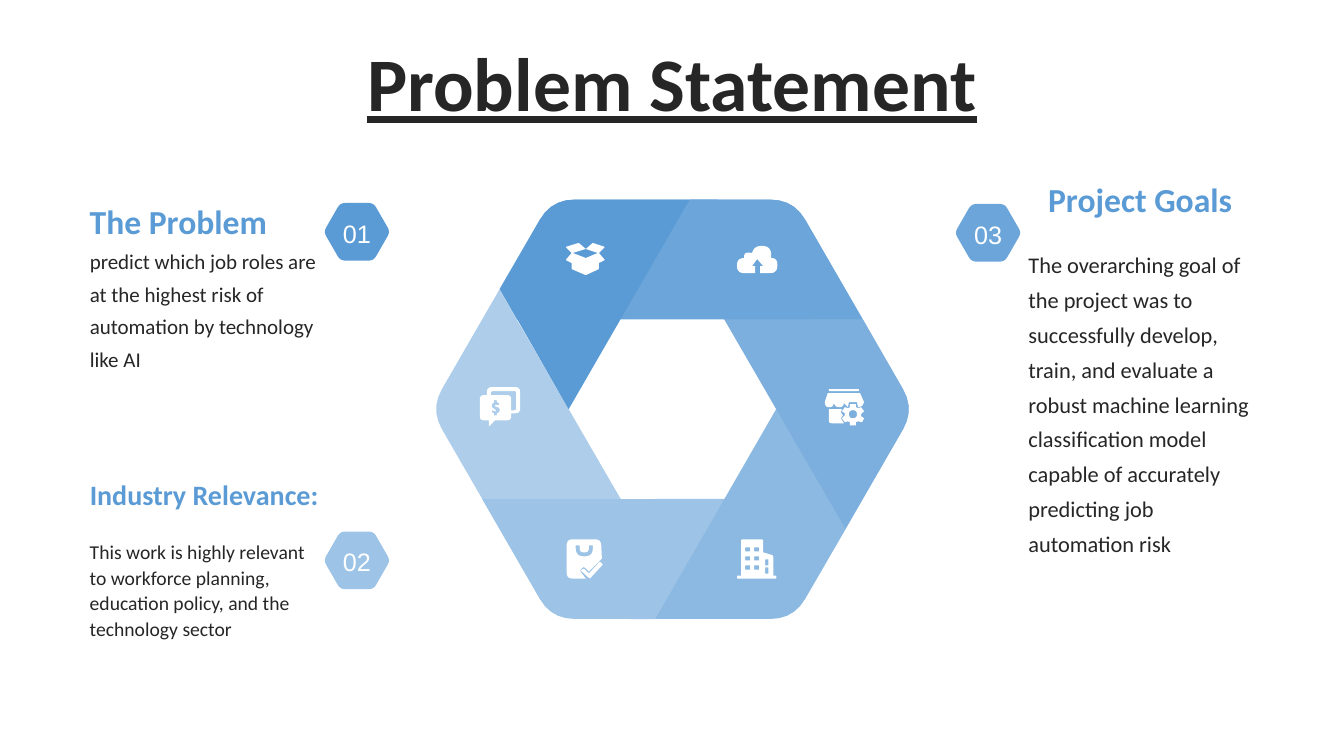
"""Build the Problem Statement slide: a folded hexagon ring with three numbered notes."""
from math import cos, dist, radians, sin

from pptx import Presentation
from pptx.dml.color import RGBColor
from pptx.enum.text import MSO_ANCHOR, PP_ALIGN
from pptx.util import Inches, Pt

TOP, MIDDLE, BOTTOM = MSO_ANCHOR.TOP, MSO_ANCHOR.MIDDLE, MSO_ANCHOR.BOTTOM
LEFT, CENTER = PP_ALIGN.LEFT, PP_ALIGN.CENTER
BLUE, INK, WHITE = "5B9BD5", "262626", "FFFFFF"

prs = Presentation()
prs.slide_width, prs.slide_height = Inches(13.33), Inches(7.5)
s = prs.slides.add_slide(prs.slide_layouts[5])


def write(sp, text, size, color=INK, font="Calibri", bold=False, underline=False,
          align=LEFT, anchor=TOP, spacing=1.0, inset=0, wrap=True):
    """Put one formatted paragraph into a shape."""
    tf = sp.text_frame
    tf.word_wrap, tf.vertical_anchor = wrap, anchor
    tf.margin_left = tf.margin_right = Inches(inset)
    tf.margin_top = tf.margin_bottom = Inches(inset / 2)
    p = tf.paragraphs[0]
    p.alignment, p.line_spacing = align, spacing
    r = p.add_run()
    r.text = text
    r.font.name, r.font.size = font, Pt(size)
    r.font.bold, r.font.underline = bold, underline
    r.font.color.rgb = RGBColor.from_string(color)


def outline(contours, x, y, unit, fill):
    """Draw contours of (x, y) or (x, y, rounding) corners as one filled freeform."""
    builder = None
    for corners in contours:
        points = []
        for i, (px, py, *rounding) in enumerate(corners):
            if not rounding:
                points.append((px, py))
                continue
            ends = []
            for qx, qy, *_ in (corners[i - 1], corners[(i + 1) % len(corners)]):
                share = rounding[0] / dist((px, py), (qx, qy))
                ends.append((px + (qx - px) * share, py + (qy - py) * share))
            (ax, ay), (bx, by) = ends
            for t in (0, 0.2, 0.4, 0.6, 0.8, 1):
                u = 1 - t
                points.append((u * u * ax + 2 * u * t * px + t * t * bx,
                               u * u * ay + 2 * u * t * py + t * t * by))
        points = [(Inches(x + unit * px), Inches(y + unit * py)) for px, py in points]
        if builder is None:
            builder = s.shapes.build_freeform(*points[0], scale=1.0)
        else:
            builder.move_to(*points[0])
        builder.add_line_segments(points[1:], close=True)
    sp = builder.convert_to_shape()
    sp.shadow.inherit = False
    sp.fill.solid()
    sp.fill.fore_color.rgb = RGBColor.from_string(fill)
    sp.line.fill.background()
    return sp


title = s.shapes.title
title.left, title.top, title.width, title.height = map(Inches, (0.76, 0.43, 11.81, 0.87))
write(title, "Problem Statement", 54, bold=True, underline=True, align=CENTER,
      anchor=MIDDLE, spacing=0.9, inset=0.1)

heading = dict(color=BLUE, bold=True, anchor=BOTTOM)
notes = [
    ((10.32, 1.48, 2.13, 0.7), " Project Goals", 24, heading),
    ((10.2, 2.41, 2.25, 4.03),
     "The overarching goal of the project was to successfully develop, train, and evaluate "
     "a robust machine learning classification model capable of accurately predicting job "
     "automation risk", 16, dict(spacing=1.3)),
    ((0.89, 1.7, 2.3, 0.69), "The Problem", 24, heading),
    ((0.89, 2.39, 2.28, 1.44),
     "predict which job roles are at the highest risk of automation by technology like AI",
     15, dict(spacing=1.3)),
    ((0.89, 4.52, 2.45, 0.55), "Industry Relevance:", 20, heading),
    ((0.89, 5.33, 2.34, 1.11),
     "This work is highly relevant to workforce planning, education policy, and the "
     "technology sector", 14, dict(spacing=1.1)),
]
for box, text, size, style in notes:
    write(s.shapes.add_textbox(*map(Inches, box)), text, size, **style)

hexagon = [(cos(radians(a)), sin(radians(a)), 0.15) for a in range(0, 360, 60)]
for number, x, y, color in (("01", 3.54, 2.3, BLUE), ("02", 3.54, 5.56, "9DC3E6"),
                            ("03", 9.8, 2.31, "6BA5D9")):
    badge = outline([hexagon], x, y, 0.33, color)
    write(badge, number, 18, color=WHITE, font="Arial", align=CENTER, spacing=1.5, wrap=False)

band = [(0.17, -2.08), (-1.54, 0.89), (-1.89, 0.89), (-2.4, 0, 0.23), (-1.2, -2.08, 0.23)]
top_band = [(0.17, -2.08), (-1.03, 0), (-1.71, -1.19), (-1.2, -2.08, 0.23)]
ring_colors = ["ADCDEA", "9DC3E6", "8CB9E2", "7CAFDD", "6BA5D9", BLUE]
for i, color in enumerate(ring_colors):
    turn = radians(-60 * (i + 1))
    turned = [(px * cos(turn) - py * sin(turn), px * sin(turn) + py * cos(turn), *rounding)
              for px, py, *rounding in (top_band if color == BLUE else band)]
    outline([turned], 6.67, 4.06, 1, color)

shop = [
    [(4, 0, 1), (34, 0, 1), (34, 2, 1), (4, 2, 1)],
    [(3, 4), (35, 4), (39, 13), (37, 17, 1), (33, 18), (32, 13), (24, 13), (23, 18),
     (19, 14), (18, 18, 3), (11, 18, 3), (9, 14), (8, 18, 3), (1, 18, 3), (0, 13)],
    [(4, 20), (17, 20), (16, 23), (18, 26), (16, 29), (19, 34), (4, 34, 3)],
    [(25, 15), (31, 15), (31, 18), (33, 19), (36, 18), (39, 22), (36, 25), (36, 27),
     (39, 29), (37, 33), (33, 32), (31, 33), (31, 36), (25, 36), (25, 33), (23, 32),
     (20, 33), (17, 29), (20, 26), (20, 24), (17, 22), (20, 18), (23, 19), (25, 18)],
    [(24, 21, 4), (32, 21, 4), (32, 29, 4), (24, 29, 4)],
]
cloud = [
    [(18, 27), (0, 27, 7), (0, 12, 7), (7, 12), (7, 6, 5), (15, 7), (17, 0, 7), (34, 0, 9),
     (34, 12), (40, 12, 6), (40, 27, 7), (23, 27), (23, 20), (26, 20), (20, 13), (15, 20),
     (18, 20)],
]
parcel = [
    [(6, 20), (6, 26, 1), (20, 32, 1), (33, 26, 1), (33, 20), (39, 17, 1), (33, 10),
     (39, 4, 1), (27, 0, 1), (20, 6), (13, 0, 1), (0, 4, 1), (6, 10), (0, 17, 1)],
    [(7, 10), (20, 6), (32, 10), (20, 15)],
]
chat = [
    [(7, 8), (7, 0, 5), (40, 0, 5), (40, 26, 5), (31, 26), (31, 23), (36, 23, 2),
     (36, 4, 2), (11, 4, 2), (11, 8)],
    [(0, 8, 4), (31, 8, 4), (31, 33, 4), (15, 33), (9, 39), (9, 33), (0, 33, 4)],
    [(14, 13), (17, 13), (17, 15), (19, 16), (19, 18), (15, 18), (15, 19), (18, 20),
     (20, 22), (19, 25), (17, 26), (17, 28), (14, 28), (14, 26), (12, 25), (12, 23),
     (16, 24), (16, 23), (12, 20), (12, 17), (14, 15)],
]
bag = [
    [(0, 0, 6), (34, 0, 6), (35, 19), (22, 32), (17, 27, 2), (13, 31, 2), (19, 39),
     (0, 39, 6)],
    [(9, 6), (9, 17, 8), (26, 17, 8), (26, 6), (22, 6), (22, 13, 4), (13, 13, 4), (13, 6)],
    [(14, 31, 1), (17, 29, 1), (22, 34), (33, 22, 1), (36, 25, 1), (23, 39, 1)],
]
windows = [(x, y, 5, 4) for x in (8, 17) for y in (8, 17, 26)] + [(28, 20, 3, 6), (28, 28, 3, 6)]
office = [
    [(0, 39, 1), (0, 36, 1), (4, 36), (4, 0, 2), (26, 0, 2), (26, 13), (36, 16, 2),
     (36, 36), (39, 36, 1), (39, 39, 1)],
] + [[(x, y), (x + w, y), (x + w, y + h), (x, y + h)] for x, y, w, h in windows]

for icon, x, y in ((shop, 8.18, 3.86), (cloud, 7.31, 2.44), (parcel, 5.61, 2.41),
                   (chat, 4.76, 3.84), (bag, 5.62, 5.35), (office, 7.31, 5.35)):
    outline(icon, x, y, 0.01, WHITE)

prs.save("out.pptx")
